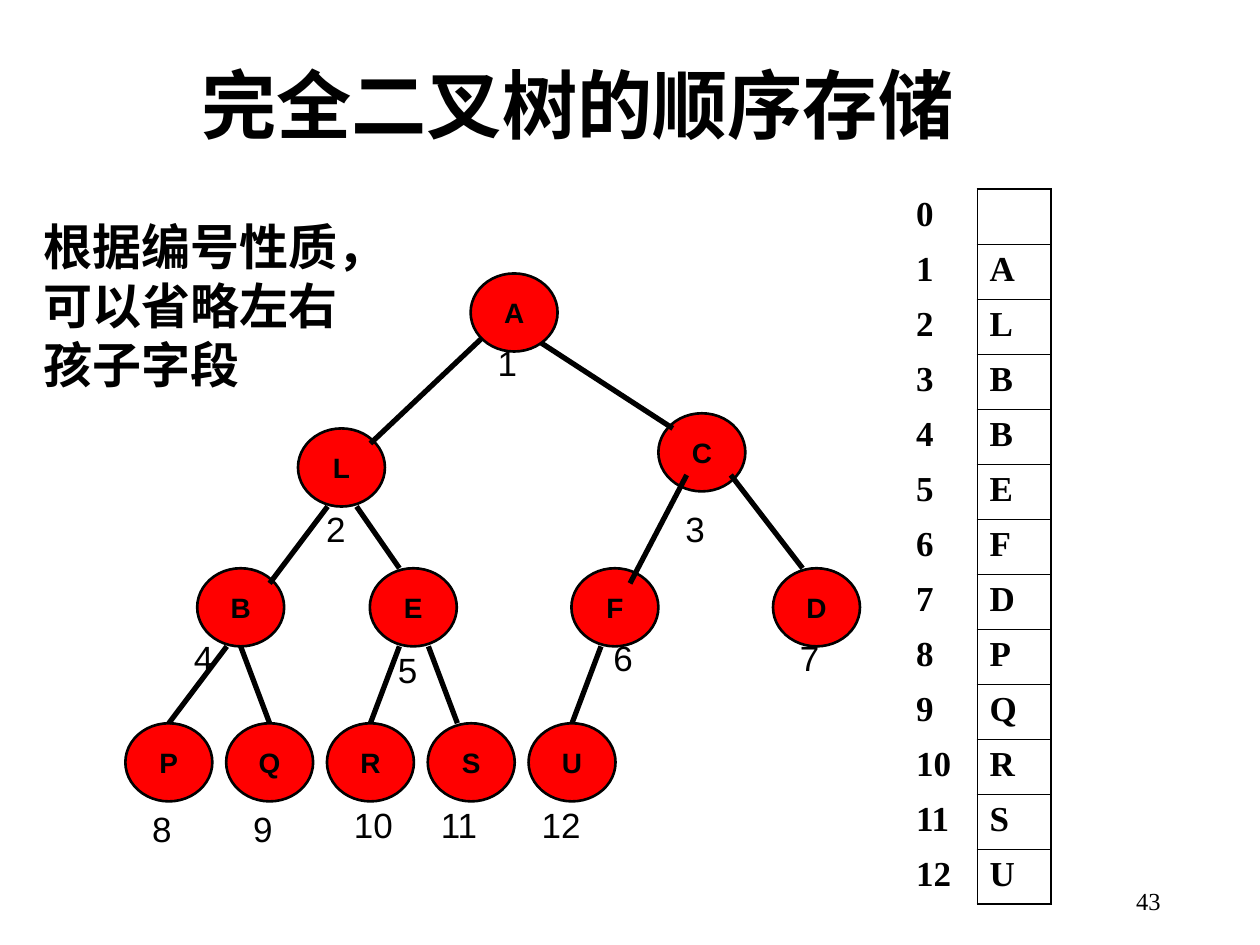
"""Build a slide on the sequential storage of a complete binary tree."""
from lxml.etree import SubElement
from pptx import Presentation
from pptx.dml.color import RGBColor
from pptx.enum.shapes import MSO_CONNECTOR, MSO_SHAPE
from pptx.enum.text import MSO_ANCHOR, PP_ALIGN
from pptx.oxml.ns import qn
from pptx.util import Inches, Pt

TITLE = "完全二叉树的顺序存储"
NOTE = "根据编号性质，可以省略左右孩子字段"
PAGE = "43"
VALUES = ["", "A", "L", "B", "B", "E", "F", "D", "P", "Q", "R", "S", "U"]

NODES = [
    ("A", (4.08, 2.48), (3.85, 2.66)),
    ("L", (2.71, 3.71), (2.49, 3.98)),
    ("C", (5.57, 3.59), (5.34, 3.98)),
    ("B", (1.91, 4.82), (1.44, 5.0)),
    ("E", (3.28, 4.82), (3.06, 5.1)),
    ("F", (4.88, 4.82), (4.77, 5.0)),
    ("D", (6.48, 4.82), (6.25, 5.0)),
    ("P", (1.34, 6.05), (1.11, 6.36)),
    ("Q", (2.14, 6.05), (1.91, 6.36)),
    ("R", (2.94, 6.05), (2.71, 6.33)),
    ("S", (3.74, 6.05), (3.4, 6.33)),
    ("U", (4.54, 6.05), (4.2, 6.33)),
]
EDGES = [
    ((3.85, 2.66), (2.94, 3.52)), ((4.2, 2.66), (5.34, 3.4)),
    ((2.6, 4.02), (2.14, 4.63)), ((2.83, 4.02), (3.17, 4.51)),
    ((5.45, 3.77), (5.0, 4.63)), ((5.8, 3.77), (6.37, 4.51)),
    ((1.8, 5.13), (1.34, 5.74)), ((1.91, 5.13), (2.14, 5.74)),
    ((3.17, 5.13), (2.94, 5.74)), ((3.4, 5.13), (3.63, 5.74)),
    ((4.77, 5.13), (4.54, 5.74)),
]

BLACK = RGBColor(0, 0, 0)
RED = RGBColor(255, 0, 0)
NODE_W, NODE_H = 0.69, 0.62
TABLE_LEFT, TABLE_TOP, TABLE_W, TABLE_H = 7.17, 1.5, 1.17, 5.68
THIN, THICK = 0.45, 1.08
PLAIN_TABLE = "{2D5ABB26-0587-4C30-8999-92F81FD0307C}"
CJK = "Noto Sans CJK SC"


def write(frame, text, size, font, bold=False, align=PP_ALIGN.LEFT):
    frame.text = text
    paragraph = frame.paragraphs[0]
    paragraph.alignment = align
    for run in paragraph.runs:
        run.font.size, run.font.name, run.font.bold = Pt(size), font, bold
        run.font.color.rgb = BLACK
        SubElement(run.font._element, qn("a:ea")).set("typeface", CJK)
    return paragraph


def add_text(slide, box, text, size, font, anchor=MSO_ANCHOR.TOP, **style):
    frame = slide.shapes.add_textbox(*map(Inches, box)).text_frame
    frame.word_wrap = True
    frame.vertical_anchor = anchor
    return write(frame, text, size, font, **style)


def add_node(slide, letter, center):
    x, y = center
    node = slide.shapes.add_shape(
        MSO_SHAPE.OVAL, Inches(x - NODE_W / 2), Inches(y - NODE_H / 2),
        Inches(NODE_W), Inches(NODE_H))
    node.shadow.inherit = False
    node.fill.solid()
    node.fill.fore_color.rgb = RED
    node.line.color.rgb = BLACK
    node.line.width = Pt(1.5)
    node.text_frame.word_wrap = False
    node.text_frame.vertical_anchor = MSO_ANCHOR.MIDDLE
    write(node.text_frame, letter, 16, "Arial", bold=True, align=PP_ALIGN.CENTER)


def add_edge(slide, start, end):
    edge = slide.shapes.add_connector(
        MSO_CONNECTOR.STRAIGHT, *map(Inches, start + end))
    edge.line.color.rgb = BLACK
    edge.line.width = Pt(3)
    SubElement(edge._element.spPr, qn("a:effectLst"))


def set_borders(cell, **widths):
    properties = cell._tc.get_or_add_tcPr()
    for side in "LRTB":
        if side in widths:
            border = SubElement(properties, qn(f"a:ln{side}"))
            border.set("w", str(Pt(widths[side])))
            fill = SubElement(border, qn("a:solidFill"))
            SubElement(fill, qn("a:srgbClr")).set("val", str(BLACK))


def add_storage(slide):
    last = len(VALUES) - 1
    table = slide.shapes.add_table(
        len(VALUES), 2, Inches(TABLE_LEFT), Inches(TABLE_TOP),
        Inches(TABLE_W), Inches(TABLE_H)).table
    table.first_row = table.horz_banding = False
    table._tbl.tblPr.find(qn("a:tableStyleId")).text = PLAIN_TABLE
    for index, value in enumerate(VALUES):
        table.rows[index].height = Inches(TABLE_H / len(VALUES))
        number, slot = table.rows[index].cells
        set_borders(number, R=THIN)
        set_borders(slot, L=THIN, R=THICK,
                    T=THICK if index == 0 else THIN,
                    B=THICK if index == last else THIN)
        for cell, text in ((number, str(index)), (slot, value)):
            cell.fill.background()
            write(cell.text_frame, text, 20, "Times New Roman", bold=True)


def main():
    deck = Presentation()
    deck.slide_width, deck.slide_height = Inches(10), Inches(7.5)
    slide = deck.slides.add_slide(deck.slide_layouts[6])

    heading = add_text(slide, (1.5, 0.5, 7.55, 0.74), TITLE, 43, CJK,
                       anchor=MSO_ANCHOR.MIDDLE, bold=True)
    heading.line_spacing = 0.9
    add_text(slide, (7.06, 6.95, 2.25, 0.4), PAGE, 14, "Times New Roman",
             anchor=MSO_ANCHOR.MIDDLE, align=PP_ALIGN.RIGHT)

    root, *descendants = NODES
    for letter, center, _ in descendants:
        add_node(slide, letter, center)
    for start, end in EDGES:
        add_edge(slide, start, end)
    add_node(slide, *root[:2])
    for number, (_, _, corner) in enumerate(NODES, 1):
        add_text(slide, (*corner, 0.91, 0.44), str(number), 20, "Arial")

    note = add_text(slide, (0.25, 1.67, 2.67, 1.5), NOTE, 28, "Arial", bold=True)
    note.line_spacing = Pt(33.6)
    add_storage(slide)
    deck.save("out.pptx")


if __name__ == "__main__":
    main()
